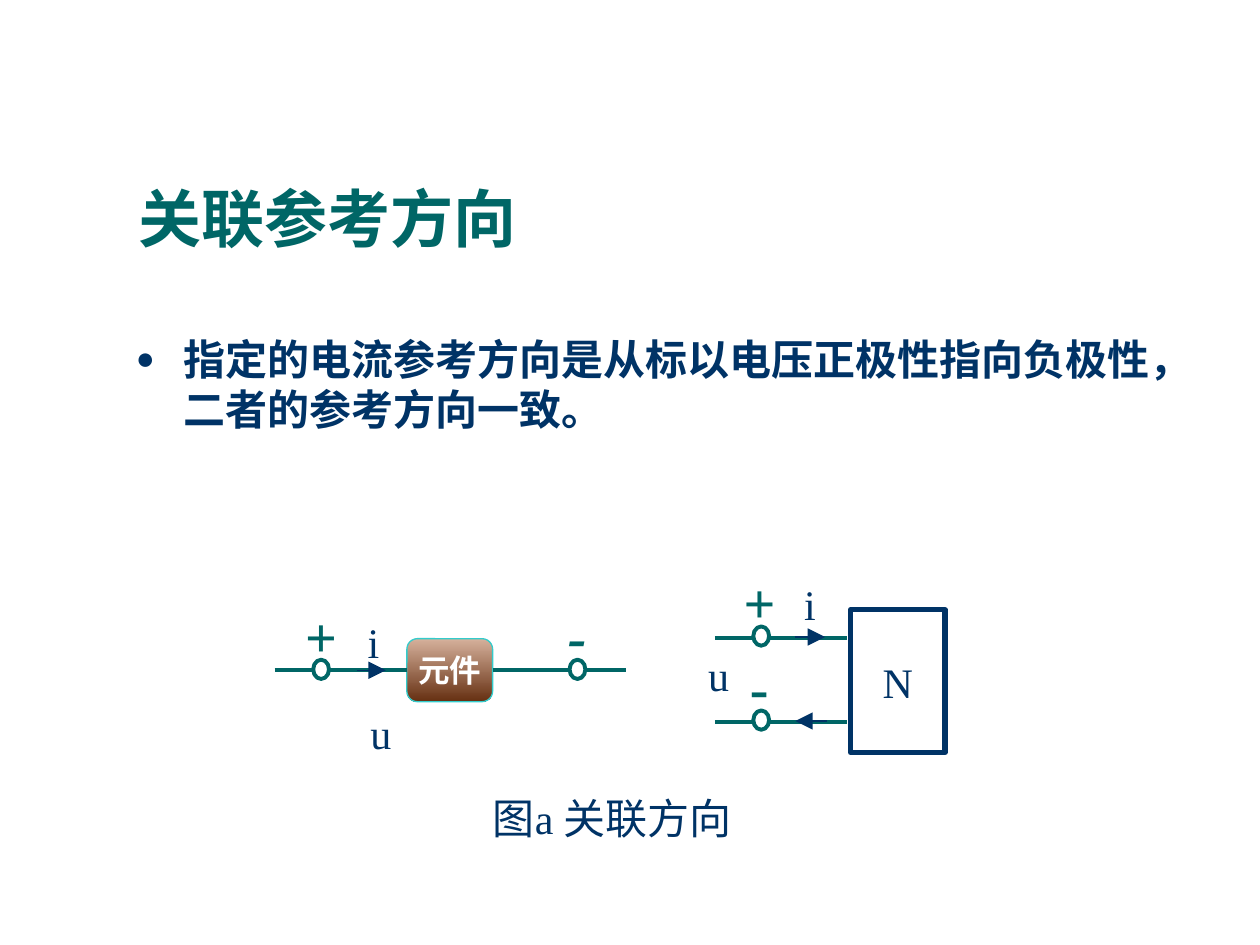
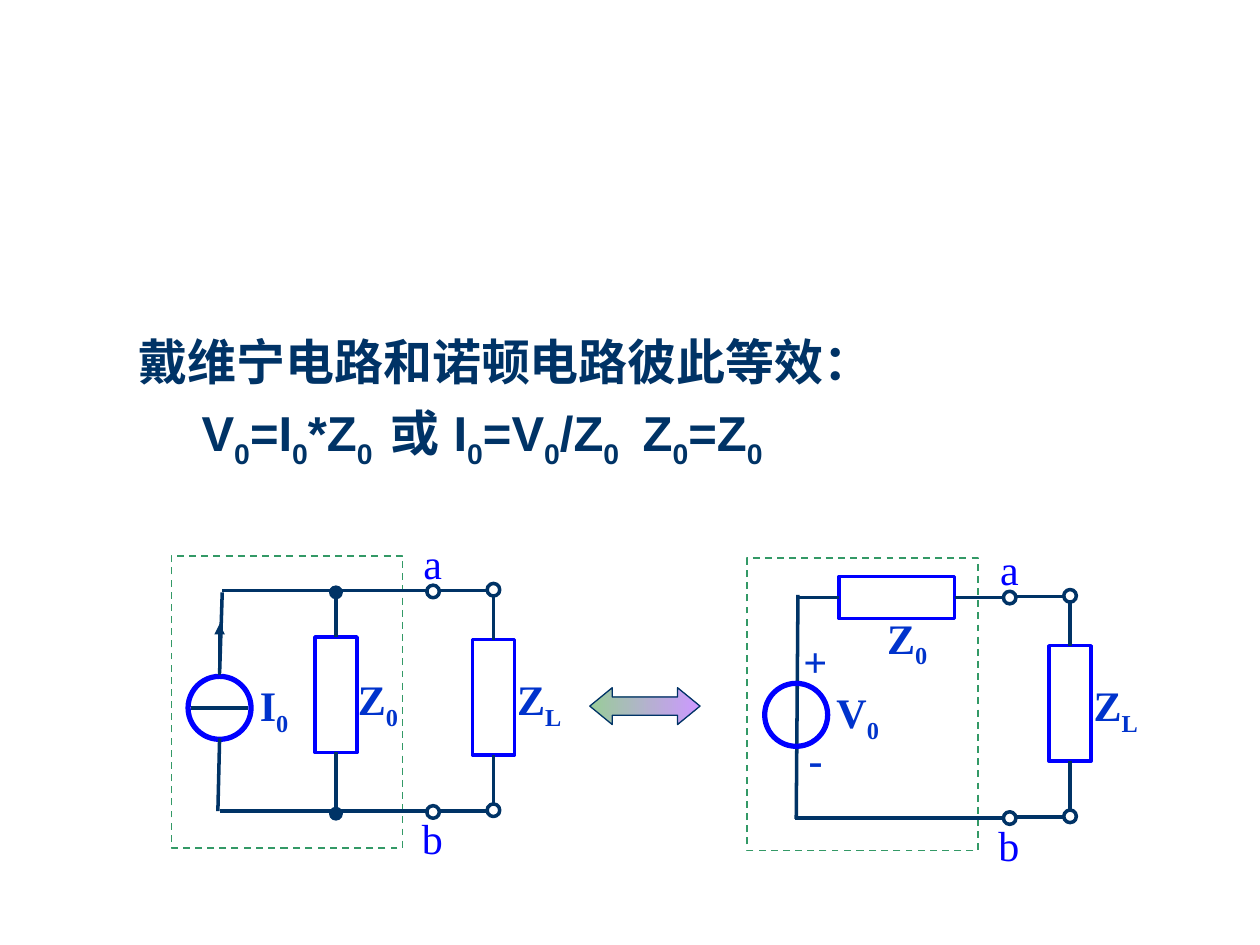
from dataclasses import dataclass
from typing import Any

from lxml.etree import SubElement
from pptx import Presentation
from pptx.dml.color import RGBColor
from pptx.enum.dml import MSO_LINE_DASH_STYLE as Dash
from pptx.enum.shapes import MSO_CONNECTOR as Connector, MSO_SHAPE as Shape
from pptx.enum.text import MSO_ANCHOR as Anchor, MSO_AUTO_SIZE as AutoSize, PP_ALIGN as Align
from pptx.oxml.ns import qn
from pptx.util import Pt

NAVY = RGBColor(0x00, 0x33, 0x66)
TEAL = RGBColor(0x00, 0x66, 0x66)
BLUE = RGBColor(0x00, 0x00, 0xFF)
LABEL_BLUE = RGBColor(0x00, 0x33, 0xCC)
GREEN = RGBColor(0x33, 0x99, 0x66)
AQUA = RGBColor(0x33, 0xCC, 0xCC)
WHITE = RGBColor(0xFF, 0xFF, 0xFF)
COPPER = (RGBColor(0xD6, 0xB1, 0x9C), RGBColor(0x66, 0x30, 0x12))
PASTEL = (RGBColor(0x99, 0xCC, 0x99), RGBColor(0xCC, 0x99, 0xFF))
HEADING_FONT = "Arial"
LABEL_FONT = "Times New Roman"
TEXT_INSET = (7.2, 3.6)


def style_font(font, name, size, color, bold=False, italic=False):
    font.name = name
    font.size = Pt(size)
    font.color.rgb = color
    font.bold = bold
    font.italic = italic


def write_runs(paragraph, pieces, *style):
    for index, piece in enumerate(pieces):
        run = paragraph.add_run()
        run.text = piece
        style_font(run.font, *style)
        if index % 2:
            run.font._element.set("baseline", "-25000")


def place(shape, left, top, width, height):
    shape.left, shape.top = Pt(left), Pt(top)
    shape.width, shape.height = Pt(width), Pt(height)


@dataclass
class Panel:
    slide: Any
    left: float
    top: float

    def point(self, x, y):
        return Pt(self.left + x), Pt(self.top + y)

    def shape(self, kind, x, y, width, height, color, weight):
        shape = self.slide.shapes.add_shape(kind, *self.point(x, y), Pt(width), Pt(height))
        shape.shadow.inherit = False
        shape.fill.background()
        shape.line.color.rgb = color
        shape.line.width = Pt(weight)
        return shape

    def circle(self, x, y, width, height, color, weight):
        return self.shape(Shape.OVAL, x - width / 2, y - height / 2, width, height, color, weight)

    def wire(self, start, end, color, weight=2, begin=None, finish=None, arrow=None):
        line = self.slide.shapes.add_connector(
            Connector.STRAIGHT, *self.point(*start), *self.point(*end))
        line.line.color.rgb = color
        line.line.width = Pt(weight)
        SubElement(line._element.spPr, qn("a:effectLst"))
        if begin:
            line.begin_connect(*begin)
        if finish:
            line.end_connect(*finish)
        if arrow:
            SubElement(line.line._get_or_add_ln(), qn("a:tailEnd"), type="triangle", w=arrow, len=arrow)

    def label(self, pieces, x, y, width, height, color, size=24, bold=False, italic=False,
              inset=TEXT_INSET):
        box = self.slide.shapes.add_textbox(*self.point(x, y), Pt(width), Pt(height))
        frame = box.text_frame
        frame.word_wrap = True
        frame.margin_left = frame.margin_right = Pt(inset[0])
        frame.margin_top = frame.margin_bottom = Pt(inset[1])
        write_runs(frame.paragraphs[0], pieces, LABEL_FONT, size, color, bold, italic)

    def symbol(self, letter, subscript, x, y):
        self.label((letter, subscript), x, y, 30, 33, LABEL_BLUE, bold=True, inset=(0, 0))


def fill_gradient(shape, colors, angle):
    shape.fill.gradient()
    shape.fill.gradient_angle = angle
    for position, (stop, color) in enumerate(zip(shape.fill.gradient_stops, colors)):
        stop.position = position
        stop.color.rgb = color


def write_inside(shape, text, size, color, bold=False):
    frame = shape.text_frame
    frame.margin_left = frame.margin_right = frame.margin_top = frame.margin_bottom = 0
    frame.word_wrap = False
    frame.vertical_anchor = Anchor.MIDDLE
    paragraph = frame.paragraphs[0]
    paragraph.alignment = Align.CENTER
    write_runs(paragraph, [text], LABEL_FONT, size, color, bold)


def fill_title(title, text):
    place(title, 72, 60, 630, 90)
    frame = title.text_frame
    frame.text = text
    frame.vertical_anchor = Anchor.BOTTOM
    frame.auto_size = AutoSize.NONE
    paragraph = frame.paragraphs[0]
    paragraph.alignment = Align.LEFT
    paragraph.line_spacing = 0.9
    style_font(paragraph.runs[0].font, HEADING_FONT, 36, TEAL, True)


def fill_body(body, box, paragraphs, size, indent=0, bullet=None, tabs=()):
    place(body, *box)
    frame = body.text_frame
    frame.auto_size = AutoSize.NONE
    for index, pieces in enumerate(paragraphs):
        paragraph = frame.add_paragraph() if index else frame.paragraphs[0]
        properties = paragraph._p.get_or_add_pPr()
        properties.set("marL", str(Pt(indent)))
        properties.set("indent", str(-Pt(indent)))
        if bullet:
            bullet_color = SubElement(properties, qn("a:buClr"))
            SubElement(bullet_color, qn("a:srgbClr"), val=str(NAVY))
            SubElement(properties, qn("a:buSzPct"), val="75000")
            SubElement(properties, qn("a:buChar"), char=bullet)
        else:
            SubElement(properties, qn("a:buNone"))
        if tabs:
            tab_list = SubElement(properties, qn("a:tabLst"))
            for tab in tabs:
                SubElement(tab_list, qn("a:tab"), pos=str(Pt(tab)), algn="l")
        paragraph.space_before = Pt(7 if index else 0)
        write_runs(paragraph, pieces, HEADING_FONT, size, NAVY, True)


def draw_element_circuit(slide, left, top):
    panel = Panel(slide, left, top)
    wire_y = 43
    element = panel.shape(Shape.ROUNDED_RECTANGLE, 75.5, 25, 49, 36, AQUA, 0.75)
    fill_gradient(element, COPPER, 270)
    write_inside(element, "元件", 18, WHITE, True)
    panel.wire((0, wire_y), (23, wire_y), TEAL, 2.25)
    panel.wire((30, wire_y), (75.5, wire_y), TEAL, 2.25, finish=(element, 1))
    panel.wire((124.5, wire_y), (168, wire_y), TEAL, 2.25, begin=(element, 3))
    panel.wire((178, wire_y), (201, wire_y), TEAL, 2.25)
    for x in (26.5, 173):
        panel.circle(x, wire_y - 0.5, 9, 11, TEAL, 2.25)
    panel.wire((47, wire_y), (63.5, wire_y), NAVY, 0.75, arrow="lg")
    panel.label("+", 10, 0, 34, 46, TEAL, 32, True, True)
    panel.label("-", 160.5, 0, 28, 46, TEAL, 32, True, True)
    panel.label("i", 46, 8.5, 22, 36, NAVY)
    panel.label("u", 47.5, 61, 27, 36, NAVY)


def draw_network_circuit(slide, left, top):
    panel = Panel(slide, left, top)
    network = panel.shape(Shape.RECTANGLE, 88.5, 28, 54, 81.5, NAVY, 3)
    write_inside(network, "N", 24, NAVY)
    for wire_y, arrow_start, arrow_end in ((44, 57, 74), (92, 75, 57)):
        panel.wire((11, wire_y), (34, wire_y), TEAL, 2.25)
        panel.wire((41, wire_y), (86.5, wire_y), TEAL, 2.25)
        panel.circle(37.5, wire_y - 1, 9, 11, TEAL, 2.25)
        panel.wire((arrow_start, wire_y - 0.5), (arrow_end, wire_y - 0.5), NAVY, 0.75, arrow="lg")
    panel.label("+", 20, 0, 34, 46, TEAL, 32, True, True)
    panel.label("-", 24, 49, 28, 46, TEAL, 32, True)
    panel.label("i", 55, 6.5, 22, 36, NAVY)
    panel.label("u", 0, 47, 27, 36, NAVY)


def draw_load_port(slide, left, top):
    panel = Panel(slide, left, top)
    load = panel.shape(Shape.RECTANGLE, 29, 58.5, 24, 66, BLUE, 2)
    panel.wire((41, 34), (41, 58.5), NAVY, finish=(load, 0))
    panel.wire((41, 124.5), (41, 152), NAVY, begin=(load, 2))
    for wire_y, node_y, name, name_x, name_y in ((31, 30, "a", 1, 0), (157, 156, "b", 0, 157.5)):
        panel.wire((10.5, wire_y - 0.5), (37, wire_y - 0.5), NAVY)
        panel.circle(6.5, wire_y, 7.2, 7.2, NAVY, 2)
        panel.circle(41, node_y, 7.2, 7.2, NAVY, 2)
        panel.label(name, name_x, name_y, 13, 29, BLUE, inset=(0, 0))
    panel.symbol("Z", "L", 54.5, 78)


def draw_source_frame(panel):
    frame = panel.shape(Shape.RECTANGLE, 0, 0, 132, 167, GREEN, 1)
    frame.line.dash_style = Dash.DASH


def draw_norton_source(slide, left, top):
    panel = Panel(slide, left, top)
    draw_source_frame(panel)
    impedance = panel.shape(Shape.RECTANGLE, 82, 46.5, 24, 66, BLUE, 2)
    panel.circle(27.5, 87, 36, 36, BLUE, 3)
    for start, end in (
        ((29, 20), (147, 20)),
        ((27.5, 146), (147, 146)),
        ((27.5, 67), (29, 21)),
        ((26.5, 146), (27.5, 104.5)),
        ((11, 87), (44, 87)),
    ):
        panel.wire(start, end, NAVY)
    panel.wire((27.5, 68), (27.5, 39), NAVY, arrow="med")
    panel.wire((94, 20), (94, 46.5), NAVY, finish=(impedance, 0))
    panel.wire((94, 112.5), (94, 146), NAVY, begin=(impedance, 2))
    for y in (21, 147.5):
        dot = panel.circle(94, y, 7.2, 7.2, NAVY, 0.75)
        dot.fill.solid()
        dot.fill.fore_color.rgb = NAVY
    panel.symbol("I", "0", 50.5, 71)
    panel.symbol("Z", "0", 106.5, 67.5)


def draw_thevenin_source(slide, left, top):
    panel = Panel(slide, left, top)
    draw_source_frame(panel)
    impedance = panel.shape(Shape.RECTANGLE, 52.5, 10.5, 66, 24, BLUE, 2)
    panel.wire((29, 22.5), (52.5, 22.5), NAVY, finish=(impedance, 1))
    panel.wire((118.5, 22.5), (147, 22.5), NAVY, begin=(impedance, 3))
    panel.wire((28, 149), (29, 21), NAVY)
    panel.wire((27.5, 148.5), (147, 148.5), NAVY)
    panel.circle(28, 89.5, 36, 36, BLUE, 3)
    panel.symbol("V", "0", 51, 73.5)
    panel.symbol("Z", "0", 80, 31)
    panel.label("+", 25, 40.5, 28, 36, LABEL_BLUE, bold=True)
    panel.label("-", 28, 96.5, 28, 36, LABEL_BLUE, bold=True)


def draw_equivalence_arrow(slide, left, top):
    arrow = Panel(slide, left, top).shape(Shape.LEFT_RIGHT_ARROW, 0, 0, 63, 21, NAVY, 0.75)
    arrow.adjustments[0], arrow.adjustments[1] = 0.5, 0.61
    fill_gradient(arrow, PASTEL, 0)


def build_reference_direction(presentation):
    slide = presentation.slides.add_slide(presentation.slide_layouts[1])
    fill_title(slide.shapes.title, "关联参考方向")
    statement = "指定的电流参考方向是从标以电压正极性指向负极性，二者的参考方向一致。"
    fill_body(slide.placeholders[1], (70.5, 187, 620.5, 95), [[statement]], 24, 27, "●")
    draw_element_circuit(slide, 157, 340)
    draw_network_circuit(slide, 397.5, 320.5)
    Panel(slide, 274.5, 449.5).label(["图a 关联方向"], 0, 0, 170, 36, NAVY)


def build_equivalent_circuits(presentation):
    slide = presentation.slides.add_slide(presentation.slide_layouts[1])
    title = slide.shapes.title._element
    title.getparent().remove(title)
    formulas = ["\tV", "0", "=I", "0", "*Z", "0", "\t或\tI", "0", "=V", "0", "/Z", "0",
                "\tZ", "0", "=Z", "0"]
    fill_body(slide.placeholders[1], (72, 186, 630, 94),
              [["戴维宁电路和诺顿电路彼此等效："], formulas], 28, tabs=(27, 141, 187, 387))
    draw_thevenin_source(slide, 427, 319)
    draw_load_port(slide, 570.5, 310.5)
    draw_norton_source(slide, 98, 317.5)
    draw_load_port(slide, 241, 307)
    draw_equivalence_arrow(slide, 337, 393)


def main():
    presentation = Presentation()
    presentation.slide_width, presentation.slide_height = Pt(720), Pt(540)
    build_reference_direction(presentation)
    build_equivalent_circuits(presentation)
    presentation.save("out.pptx")


if __name__ == "__main__":
    main()
